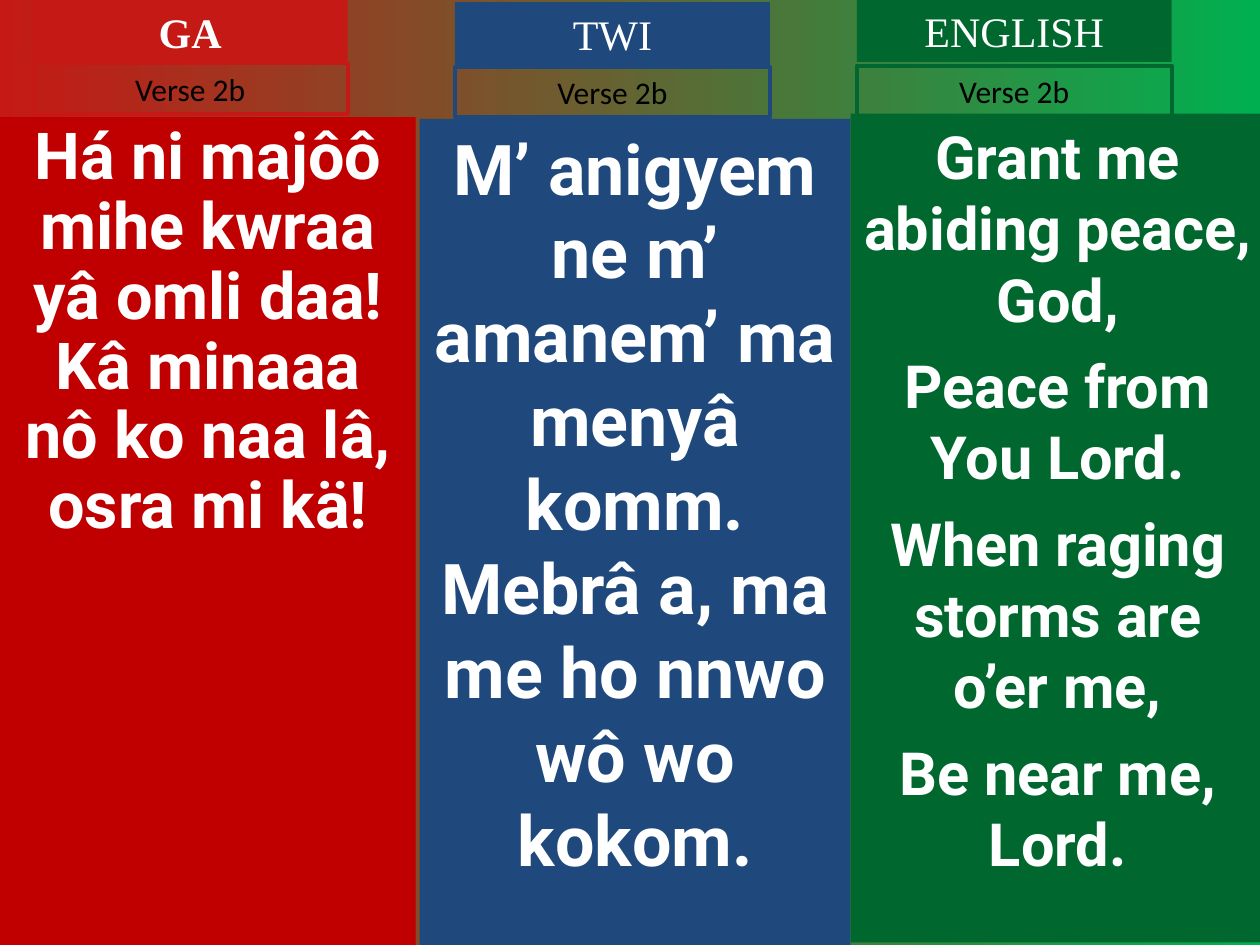
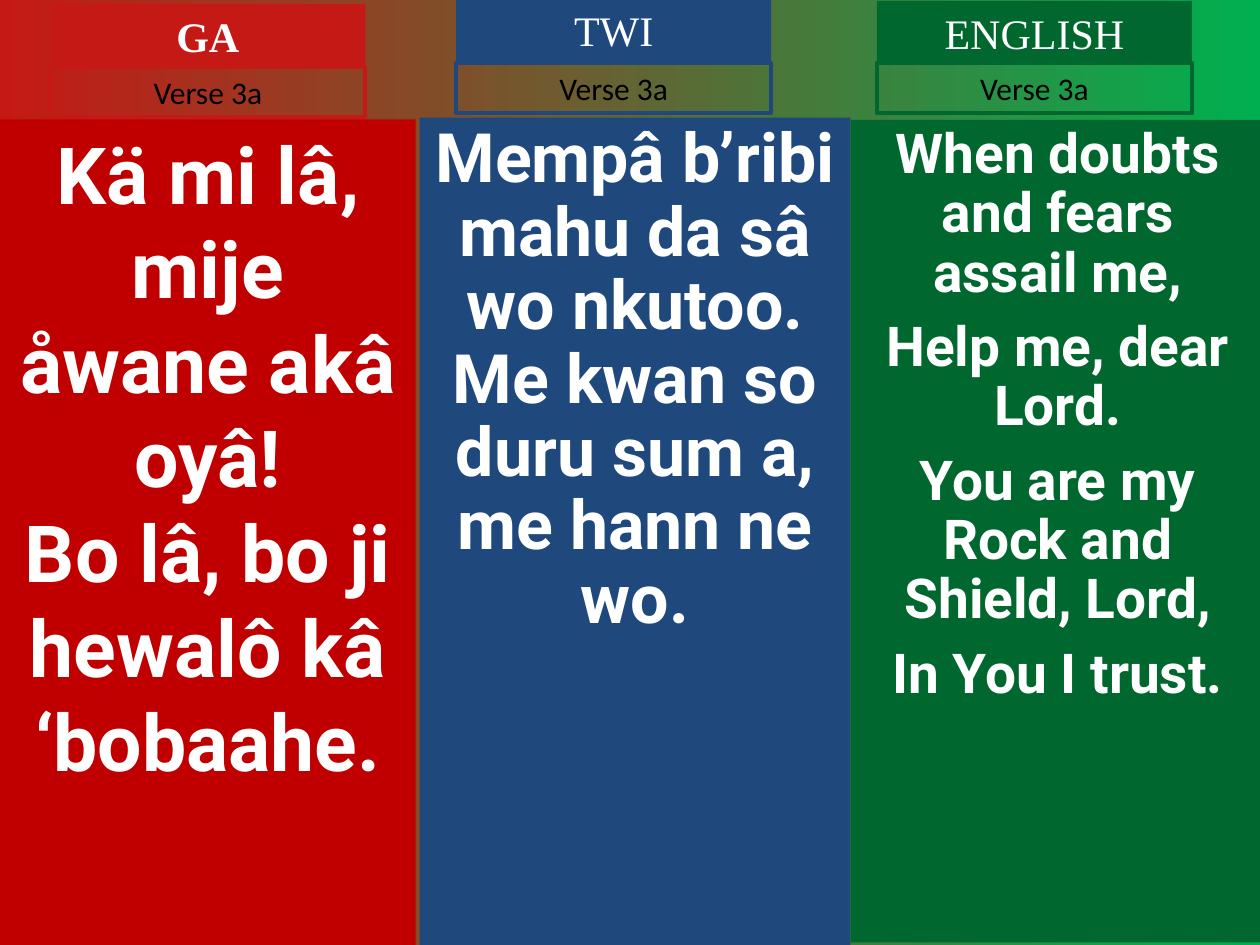
from dataclasses import dataclass

from pptx import Presentation
from pptx.dml.color import RGBColor
from pptx.enum.shapes import MSO_SHAPE
from pptx.enum.text import MSO_ANCHOR, MSO_AUTO_SIZE, PP_ALIGN
from pptx.util import Pt

RECTANGLE = MSO_SHAPE.RECTANGLE
TOP = MSO_ANCHOR.TOP
CENTER = PP_ALIGN.CENTER
GROW = MSO_AUTO_SIZE.SHAPE_TO_FIT_TEXT
FIXED = MSO_AUTO_SIZE.NONE

PAGE_WIDTH, PAGE_HEIGHT = 720, 540
BLANK_LAYOUT = 6
RED, GREEN, WHITE, BLACK = "C51915", "00B050", "FFFFFF", "000000"
LABEL_WIDTH, NAME_HEIGHT, VERSE_HEIGHT = 180, 36, 28.8


@dataclass
class Language:
    """A language column: its box, colours and paragraph gap."""
    name: str
    box: tuple
    panel_color: str
    label_color: str
    bold_name: bool = False
    gap: float = 0


@dataclass
class Stanza:
    """The words of one column and where its parts sit inside the column."""
    label_left: float
    name_top: float
    verse_top: float
    panel_top: float
    size: float
    line_spacing: float
    lines: list


LANGUAGES = [
    Language("GA", (0, 0, 237.6, 540), "C00000", RED, bold_name=True),
    Language("TWI", (239.8, 0, 246.2, 540), "1F497D", "1F497D"),
    Language("ENGLISH", (486, 0, 236.9, 538.6), "00682F", "00682F", gap=8.5),
]

VERSES = {
    "Verse 2b": [
        Stanza(18.7, 0, 36.3, 67, 37, 0.9, [
            "Há ni majôô mihe kwraa", "yâ omli daa!",
            "Kâ minaaa nô ko naa lâ,", "osra mi kä!"]),
        Stanza(20.2, 1.2, 38.3, 67.9, 40, 1, [
            "M’ anigyem ne m’ amanem’ ma menyâ komm.",
            "Mebrâ a, ma me ho nnwo wô wo kokom."]),
        Stanza(3.6, -0.6, 37.6, 65, 34, 1, [
            "Grant me abiding peace, God,", "Peace from You Lord.",
            "When raging storms are o’er me,", "Be near me, Lord."]),
    ],
    "Verse 3a": [
        Stanza(28.8, 2.2, 38.2, 68.2, 45, 1, [
            "Kä mi lâ, mije åwane akâ oyâ!",
            "Bo lâ, bo ji hewalô kâ ‘bobaahe."]),
        Stanza(20.9, -0.8, 36, 67.2, 38.9, 0.9, [
            "Mempâ b’ribi mahu da sâ wo nkutoo.",
            "Me kwan so duru sum a,", "me hann ne wo."]),
        Stanza(15.1, 0.6, 36, 68.5, 31.4, 0.9, [
            "When doubts and fears assail me,", "Help me, dear Lord.",
            "You are my Rock and Shield, Lord,", "In You I trust."]),
    ],
}


def color(value):
    """Turn a hex string into a colour."""
    return RGBColor.from_string(value)


def add_box(page, box, fill=None, line=None, auto_size=FIXED):
    """Add a plain rectangle ready for top-anchored text."""
    shape = page.shapes.add_shape(RECTANGLE, *map(Pt, box))
    shape.shadow.inherit = False
    if fill:
        shape.fill.solid()
        shape.fill.fore_color.rgb = color(fill)
    else:
        shape.fill.background()
    if line:
        shape.line.color.rgb = color(line)
        shape.line.width = Pt(2.25)
    else:
        shape.line.fill.background()
    frame = shape.text_frame
    frame.word_wrap = True
    frame.vertical_anchor = TOP
    frame.auto_size = auto_size
    return frame


def write(frame, lines, font, size, ink, bold=False, line_spacing=1, gap=0):
    """Write centred paragraphs in one style."""
    for index, line in enumerate(lines):
        para = frame.add_paragraph() if index else frame.paragraphs[0]
        para.text = line
        para.alignment = CENTER
        para.line_spacing = line_spacing
        para.space_before = Pt(gap if index else 0)
        para.font.name = font
        para.font.size = Pt(size)
        para.font.bold = bold
        para.font.color.rgb = color(ink)


def draw_column(page, language, verse, stanza):
    """Draw a lyric panel with its language name and verse label above."""
    left, top, width, height = language.box
    panel = add_box(page, (left, top + stanza.panel_top, width,
                           height - stanza.panel_top), language.panel_color)
    write(panel, stanza.lines, "Roboto", stanza.size, WHITE, True,
          stanza.line_spacing, language.gap)

    label_left = left + stanza.label_left
    name = add_box(page, (label_left, top + stanza.name_top, LABEL_WIDTH,
                          NAME_HEIGHT), language.label_color, auto_size=GROW)
    write(name, [language.name], "Times New Roman", 24, WHITE, language.bold_name)

    label = add_box(page, (label_left, top + stanza.verse_top, LABEL_WIDTH,
                           VERSE_HEIGHT), line=language.label_color, auto_size=GROW)
    write(label, [verse], "Calibri", 18, BLACK)


def paint_background(page):
    """Fill the page with a left-to-right gradient."""
    fill = page.background.fill
    fill.gradient()
    fill.gradient_angle = 0
    for stop, value in zip(fill.gradient_stops, (RED, GREEN)):
        stop.color.rgb = color(value)


def main():
    """Build one page per verse, with a column for each language."""
    deck = Presentation()
    deck.slide_width, deck.slide_height = Pt(PAGE_WIDTH), Pt(PAGE_HEIGHT)
    for verse, stanzas in VERSES.items():
        page = deck.slides.add_slide(deck.slide_layouts[BLANK_LAYOUT])
        paint_background(page)
        for language, stanza in zip(LANGUAGES, stanzas):
            draw_column(page, language, verse, stanza)
    deck.save("out.pptx")


if __name__ == "__main__":
    main()
